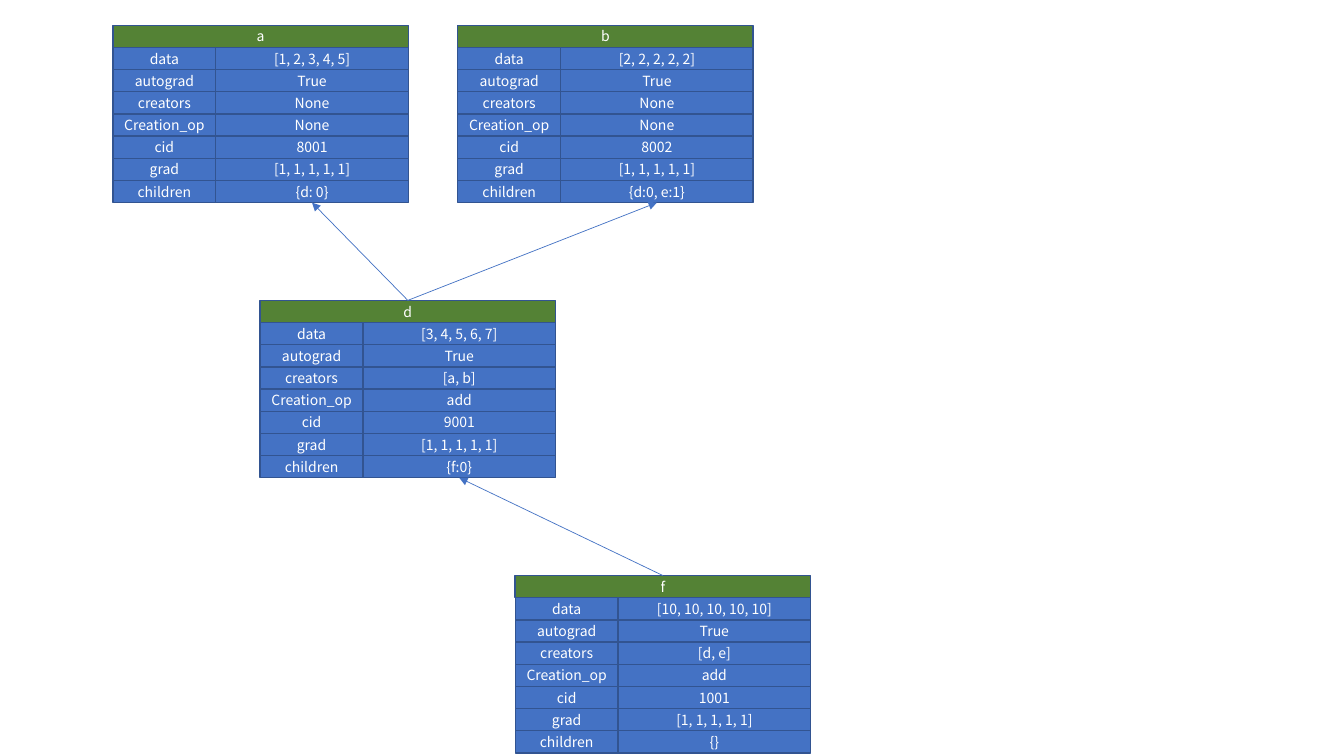
import pptx
import pptx.util
import pptx.dml.color
import pptx.enum.shapes
import pptx.enum.text
import pptx.oxml
import pptx.oxml.ns

Inches = pptx.util.Inches
Pt = pptx.util.Pt
RGBColor = pptx.dml.color.RGBColor

BLUE = RGBColor(0x44, 0x72, 0xC4)
GREEN = RGBColor(0x54, 0x82, 0x35)
OUTLINE = RGBColor(0x32, 0x54, 0x91)
WHITE = RGBColor(0xFF, 0xFF, 0xFF)
FONT = "Noto Sans CJK SC"

ROW_H = 0.22
LABEL_W = 1.02
VALUE_W = 1.91
LABELS = ["data", "autograd", "creators", "Creation_op", "cid", "grad", "children"]
ONES = "[1, 1, 1, 1, 1]"

# Tensor name, left, top, values in the order of LABELS
TENSORS = [
    ("a", 1.12, 0.25, ["[1, 2, 3, 4, 5]", "True", "None", "None", "8001", ONES, "{d: 0}"]),
    ("b", 4.54, 0.25, ["[2, 2, 2, 2, 2]", "True", "None", "None", "8002", ONES, "{d:0, e:1}"]),
    ("d", 2.58, 2.98, ["[3, 4, 5, 6, 7]", "True", "[a, b]", "add", "9001", ONES, "{f:0}"]),
    ("f", 5.11, 5.71, ["[10, 10, 10, 10, 10]", "True", "[d, e]", "add", "1001", ONES, "{}"]),
]
# Each result points back to its creators
ARROWS = [("d", "a"), ("d", "b"), ("f", "d")]

prs = pptx.Presentation()
prs.slide_width = Inches(13.33)
prs.slide_height = Inches(7.5)
s = prs.slides.add_slide(prs.slide_layouts[6])


def add_cell(text, left, top, width, fill=BLUE, size=10, color=WHITE):
    sp = s.shapes.add_shape(pptx.enum.shapes.MSO_SHAPE.RECTANGLE,
                            Inches(left), Inches(top), Inches(width), Inches(ROW_H))
    sp.shadow.inherit = False
    sp.fill.solid()
    sp.fill.fore_color.rgb = fill
    sp.line.color.rgb = OUTLINE
    sp.line.width = Pt(1)
    tf = sp.text_frame
    tf.word_wrap = True
    tf.margin_top = tf.margin_bottom = 0
    tf.vertical_anchor = pptx.enum.text.MSO_ANCHOR.MIDDLE
    p = tf.paragraphs[0]
    p.alignment = pptx.enum.text.PP_ALIGN.CENTER
    r = p.add_run()
    r.text = text
    r.font.size = Pt(size)
    r.font.name = FONT
    r.font.color.rgb = color
    ea = pptx.oxml.parse_xml(
        f'<a:ea {pptx.oxml.ns.nsdecls("a")} typeface="{FONT}"/>')
    r.font._element.append(ea)
    return sp


# Tensor blocks: a header over label and value columns
headers = {}
children_cells = {}
for name, left, top, values in TENSORS:
    headers[name] = add_cell(name, left, top, LABEL_W + VALUE_W, fill=GREEN)
    for row, (label, value) in enumerate(zip(LABELS, values), start=1):
        y = top + row * ROW_H
        add_cell(label, left, y, LABEL_W)
        children_cells[name] = add_cell(value, left + LABEL_W, y, VALUE_W)

# Arrows from the top of a header to the bottom of a children cell
for result, creator in ARROWS:
    cx = s.shapes.add_connector(pptx.enum.shapes.MSO_CONNECTOR.STRAIGHT, 0, 0, 0, 0)
    cx.begin_connect(headers[result], 0)
    cx.end_connect(children_cells[creator], 2)
    cx.line.color.rgb = BLUE
    cx.line.width = Pt(0.5)
    ln = cx.line._get_or_add_ln()
    ln.append(pptx.oxml.parse_xml(
        f'<a:tailEnd {pptx.oxml.ns.nsdecls("a")} type="triangle"/>'))
    cx._element.spPr.append(pptx.oxml.parse_xml(
        f'<a:effectLst {pptx.oxml.ns.nsdecls("a")}/>'))

prs.save("out.pptx")
